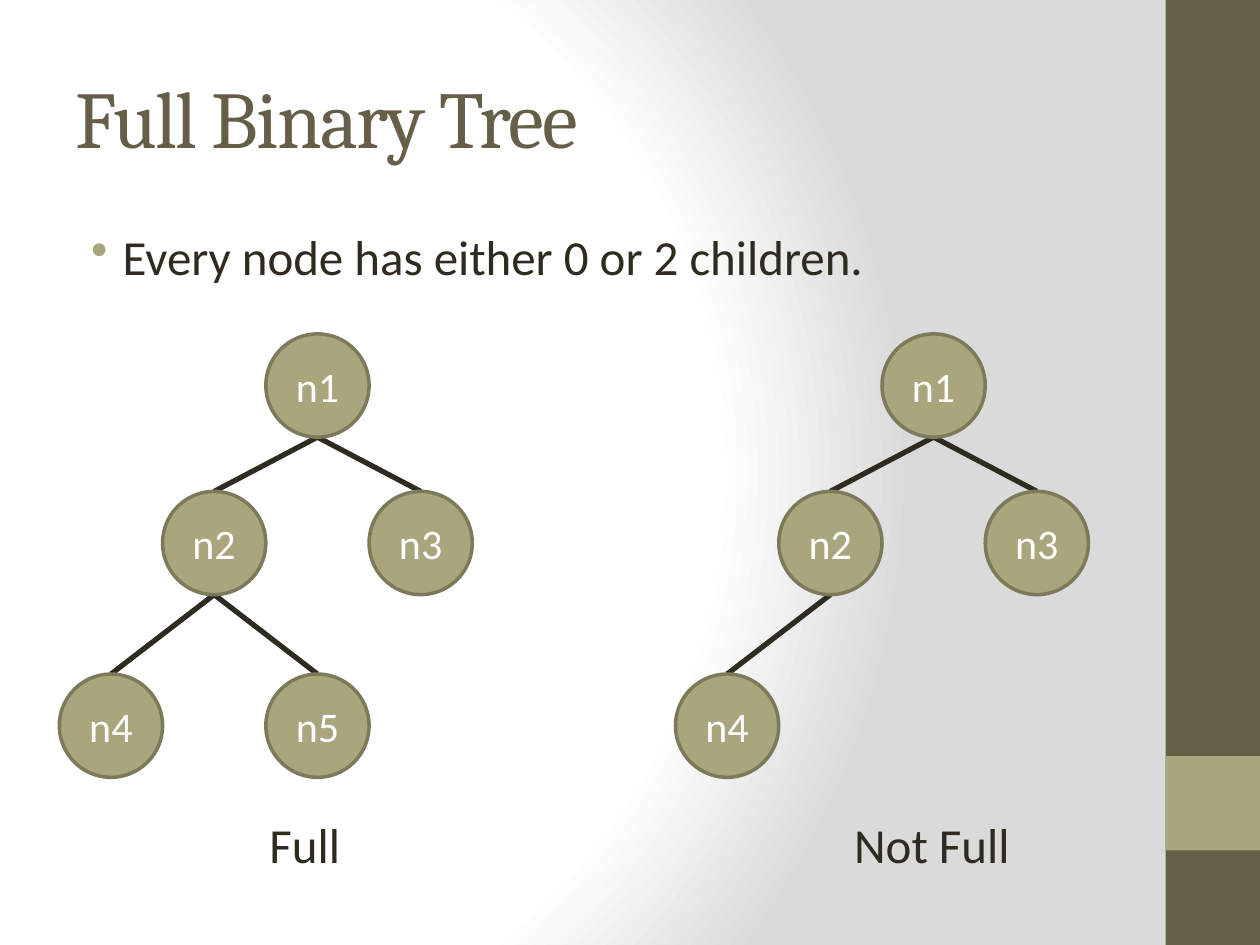
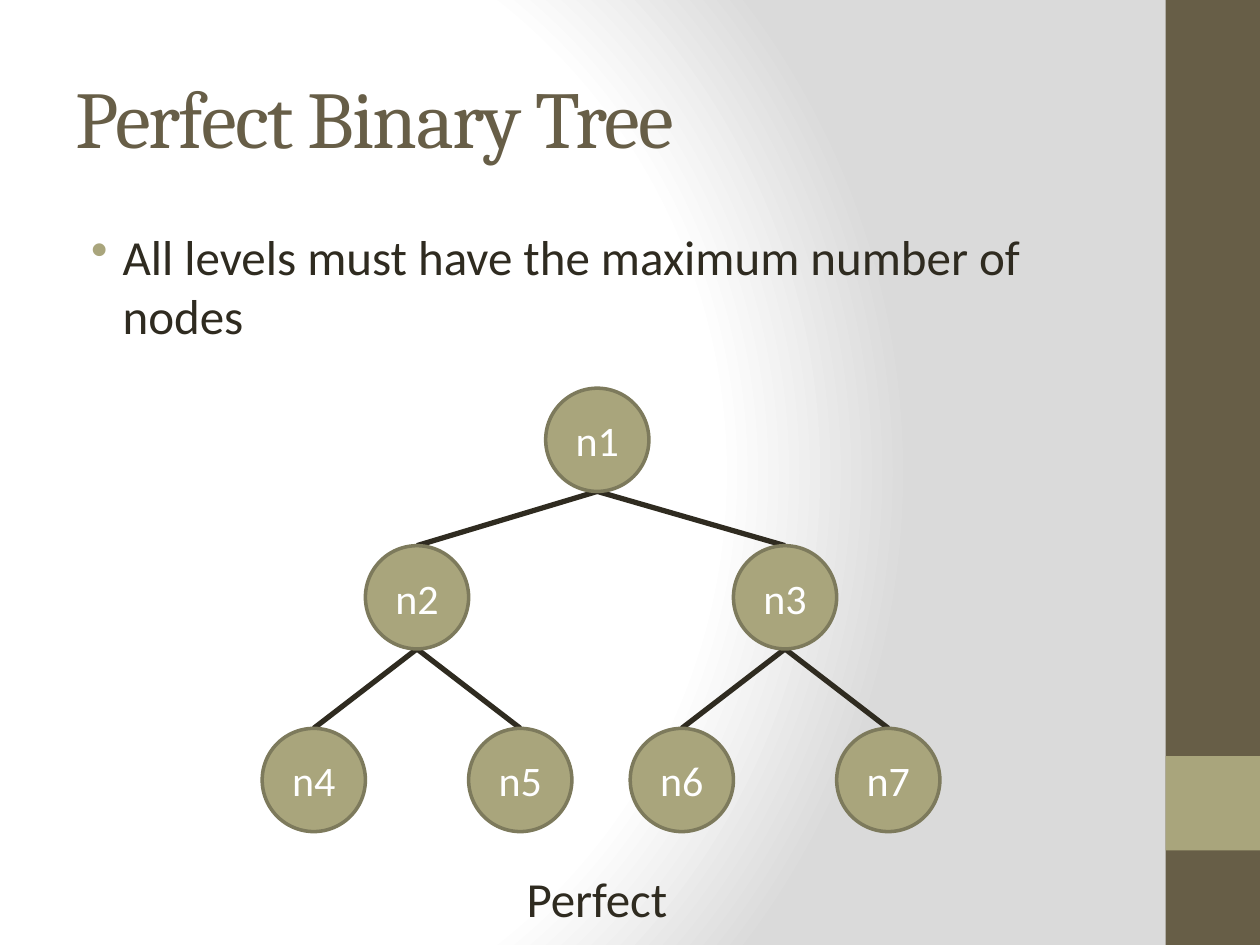
from pptx import Presentation
from pptx.dml.color import RGBColor
from pptx.enum.shapes import MSO_CONNECTOR, MSO_SHAPE
from pptx.enum.text import MSO_ANCHOR, MSO_AUTO_SIZE, PP_ALIGN
from pptx.oxml import parse_xml
from pptx.oxml.ns import nsdecls
from pptx.util import Pt

RECTANGLE, ELLIPSE = MSO_SHAPE.RECTANGLE, MSO_SHAPE.OVAL
STRAIGHT = MSO_CONNECTOR.STRAIGHT
TOP, MIDDLE = MSO_ANCHOR.TOP, MSO_ANCHOR.MIDDLE
LEFT, CENTER = PP_ALIGN.LEFT, PP_ALIGN.CENTER
GROW = MSO_AUTO_SIZE.SHAPE_TO_FIT_TEXT

COLORS = {
    "brown": "675E47",
    "olive": "A9A57C",
    "olive_edge": "7D7A5C",
    "ink": "2F2B20",
    "white": "FFFFFF",
    "grey": "DADADA",
}
HEADING_FONT, BODY_FONT = "Cambria", "Calibri"

WIDTH, HEIGHT = 720, 540
BAND = 54
MARGIN, TEXT_WIDTH = 36, 600
NODE = 59  # node diameter, also the reach from a parent to each child
LEVEL_TOPS = (0, 90, 194.4)


def rgb(name):
    return RGBColor.from_string(COLORS[name])


def write(frame, text, size=28, font=BODY_FONT, color="ink", align=LEFT,
          anchor=TOP, wrap=True, tracking=None, bullet=None):
    """Put one formatted paragraph into a text frame."""
    frame.word_wrap = wrap
    frame.vertical_anchor = anchor
    paragraph = frame.paragraphs[0]
    paragraph.alignment = align
    run = paragraph.add_run()
    run.text = text
    run.font.size = Pt(size)
    run.font.name = font
    run.font.color.rgb = rgb(color)
    if tracking is not None:
        run.font._element.set("spc", str(tracking * 100))
    if bullet:
        props = paragraph._p.get_or_add_pPr()
        props.set("marL", str(Pt(27)))
        props.set("indent", str(Pt(-18)))
        for part in (
            '<a:spcBef {}><a:spcPct val="20000"/></a:spcBef>',
            f'<a:buClr {{}}><a:srgbClr val="{COLORS["olive"]}"/></a:buClr>',
            f'<a:buChar {{}} char="{bullet}"/>',
        ):
            props.append(parse_xml(part.format(nsdecls("a"))))


class Deck:
    """Holds the shared style and the slide being drawn."""

    def __init__(self):
        self.presentation = Presentation()
        self.presentation.slide_width = Pt(WIDTH)
        self.presentation.slide_height = Pt(HEIGHT)
        self.slide = None

    def new_slide(self, title, statement, statement_height):
        blank = self.presentation.slide_layouts[6]
        self.slide = self.presentation.slides.add_slide(blank)
        self.background()
        # Side band with its accent block
        self.shape(RECTANGLE, WIDTH - BAND, 0, BAND, HEIGHT, "brown")
        self.shape(RECTANGLE, WIDTH - BAND, 432, BAND, BAND, "olive")
        # Title and statement
        self.text(title, MARGIN, 21.6, TEXT_WIDTH, 90, size=46,
                  font=HEADING_FONT, color="brown", anchor=MIDDLE, tracking=-1)
        self.text(statement, MARGIN, 126, TEXT_WIDTH, statement_height, bullet="•")

    def background(self):
        stops = "".join(
            f'<a:gs pos="{percent * 1000}"><a:srgbClr val="{COLORS[color]}"/></a:gs>'
            for percent, color in ((0, "white"), (75, "white"), (100, "grey")))
        self.slide._element.cSld.insert(0, parse_xml(
            f'<p:bg {nsdecls("p", "a")}><p:bgPr><a:gradFill rotWithShape="1">'
            f'<a:gsLst>{stops}</a:gsLst><a:path path="circle">'
            '<a:fillToRect l="20000" t="50000" r="100000" b="50000"/></a:path>'
            '</a:gradFill><a:effectLst/></p:bgPr></p:bg>'))

    def shape(self, kind, left, top, width, height, fill, edge=None):
        shape = self.slide.shapes.add_shape(
            kind, Pt(left), Pt(top), Pt(width), Pt(height))
        shape.shadow.inherit = False
        shape.fill.solid()
        shape.fill.fore_color.rgb = rgb(fill)
        if edge:
            shape.line.color.rgb = rgb(edge)
            shape.line.width = Pt(2)
        else:
            shape.line.fill.background()
        return shape

    def text(self, text, left, top, width, height, **style):
        box = self.slide.shapes.add_textbox(
            Pt(left), Pt(top), Pt(width), Pt(height))
        write(box.text_frame, text, **style)
        return box

    def caption(self, text, left, top, width):
        box = self.text(text, left, top, width, 41, wrap=False)
        box.text_frame.auto_size = GROW

    def edge(self, start, end):
        line = self.slide.shapes.add_connector(
            STRAIGHT, *(Pt(value) for value in (*start, *end)))
        line.line.color.rgb = rgb("ink")
        line.line.width = Pt(3)
        line._element.spPr.append(parse_xml(f'<a:effectLst {nsdecls("a")}/>'))

    def node(self, label, center, top):
        circle = self.shape(ELLIPSE, center - NODE / 2, top, NODE, NODE,
                            "olive", "olive_edge")
        write(circle.text_frame, label, size=24, color="white",
              align=CENTER, anchor=MIDDLE)

    def tree(self, count, center, top, root_reach=(NODE, NODE)):
        """Draw nodes 1..count in level order; the parent of k is k // 2."""
        places = {1: (center, top)}
        for number in range(2, count + 1):
            parent_x, parent_top = places[number // 2]
            left, right = root_reach if number < 4 else (NODE, NODE)
            x = parent_x + (right if number % 2 else -left)
            y = top + LEVEL_TOPS[number.bit_length() - 1]
            places[number] = (x, y)
            self.edge((parent_x, parent_top + NODE), (x, y))
        for number, place in places.items():
            self.node(f"n{number}", *place)


def main():
    deck = Deck()

    # Full tree beside one that is not full
    deck.new_slide("Full Binary Tree", "Every node has either 0 or 2 children.", 65)
    deck.tree(5, center=181.4, top=190.8)
    deck.caption("Full", 146.9, 462.2, 55.4)
    deck.tree(4, center=533.5, top=190.8)
    deck.caption("Not Full", 481, 462.2, 104.4)

    # Perfect tree
    deck.new_slide("Perfect Binary Tree",
                   "All levels must have the maximum number of nodes", 84)
    deck.tree(7, center=341.3, top=221.8, root_reach=(103, 107.3))
    deck.caption("Perfect", 293.8, 492.5, 95.8)

    deck.presentation.save("out.pptx")


if __name__ == "__main__":
    main()
